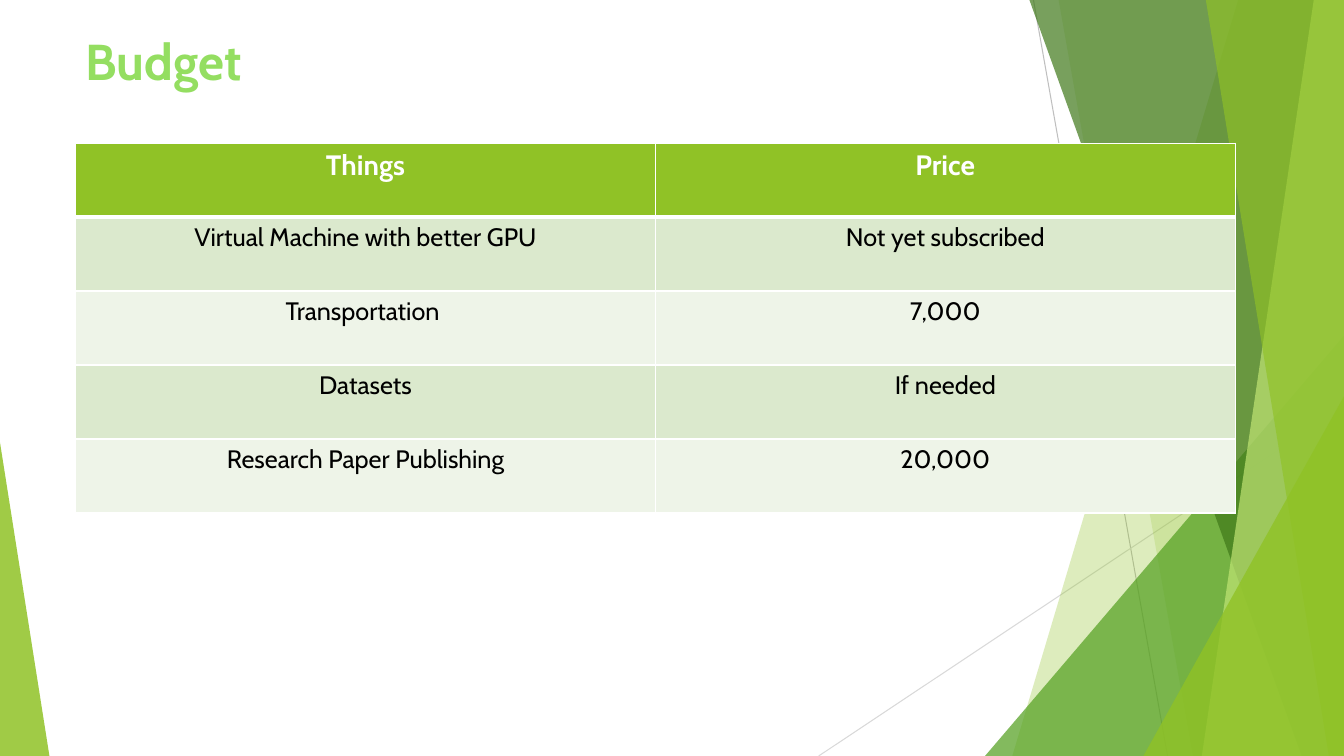
import pptx
import pptx.dml.color
import pptx.enum.shapes
import pptx.enum.text
import pptx.oxml
import pptx.oxml.ns
import pptx.util
from lxml import etree

Inches, Pt = pptx.util.Inches, pptx.util.Pt
RGB = pptx.dml.color.RGBColor
SHAPE = pptx.enum.shapes.MSO_SHAPE

TITLE = "Budget"
ROWS = [
    ("Things", "Price"),
    ("Virtual Machine with better GPU", "Not yet subscribed"),
    ("Transportation ", "7,000"),
    ("Datasets", "If needed"),
    ("Research Paper Publishing", "20,000"),
]

FONT = "Cabin"
WHITE, BLACK = RGB(255, 255, 255), RGB(0, 0, 0)
TITLE_GREEN = RGB(0x94, 0xDE, 0x61)
LIME = RGB(0x90, 0xC2, 0x26)
LEAF = RGB(0x54, 0xA0, 0x21)
FOREST = RGB(0x3F, 0x78, 0x19)
PALE_LIME = RGB(0xC0, 0xE4, 0x74)
BAND_DARK, BAND_LIGHT = RGB(0xDB, 0xE9, 0xCD), RGB(0xEE, 0xF4, 0xE8)
GREY, LIGHT_GREY = RGB(0xBF, 0xBF, 0xBF), RGB(0xD9, 0xD9, 0xD9)

W, H = 13.33, 7.5
TABLE_LEFT, TABLE_TOP, TABLE_W, TABLE_H = 0.75, 1.42, 11.5, 3.67

# Thin lines: start, end, colour
RAYS = [
    ((10.25, 0), (11.58, H), GREY),
    ((W, 4.03), (8.12, H), LIGHT_GREY),
]
# Facets from back to front.
# "band": left edge at top and at bottom, reaching the right side of the slide
# "corner": left, top, width and apex position, standing on the slide's bottom
FACETS = [
    ("band", (12.28, 10.04), LIME, 30),
    ("band", (10.5, 11.83), LIME, 20),
    ("corner", (9.77, 3.33, 3.56, 1), LEAF, 72),
    ("band", (10.21, 12.91), FOREST, 70),
    ("band", (13.03, 11.92), PALE_LIME, 70),
    ("band", (11.96, 13.18), LIME, 65),
    ("corner", (11.34, 3.93, 1.99, 1), LIME, 80),
    ("corner", (0, 4.39, 0.49, 0), LIME, 85),
]


def add_ray(shapes, start, end, color):
    ends = [Inches(v) for v in (*start, *end)]
    line = shapes.add_connector(pptx.enum.shapes.MSO_CONNECTOR.STRAIGHT, *ends)
    line.line.color.rgb = color
    line.line.width = Pt(0.75)
    etree.SubElement(line._element.spPr, pptx.oxml.ns.qn("a:effectLst"))


def add_facet(shapes, kind, geometry, color, opacity):
    if kind == "band":
        top_x, bottom_x = geometry
        points = [(Inches(x), Inches(y)) for x, y in
                  ((top_x, 0), (W, 0), (W, H), (bottom_x, H))]
        builder = shapes.build_freeform(*points[0])
        builder.add_line_segments(points[1:], close=True)
        sp = builder.convert_to_shape()
    else:
        left, top, width, apex = geometry
        sp = shapes.add_shape(SHAPE.ISOSCELES_TRIANGLE, Inches(left), Inches(top),
                              Inches(width), Inches(H - top))
        sp.adjustments[0] = apex
    sp.shadow.inherit = False
    sp.line.fill.background()
    sp.fill.solid()
    sp.fill.fore_color.rgb = color
    clr = sp._element.spPr.find(".//" + pptx.oxml.ns.qn("a:srgbClr"))
    etree.SubElement(clr, pptx.oxml.ns.qn("a:alpha"), val=str(opacity * 1000))


def set_borders(cell, widths):
    """Draw white borders; widths are points for left, right, top, bottom."""
    tc_pr = cell._tc.get_or_add_tcPr()
    for i, (side, width) in enumerate(zip("LRTB", widths)):
        tc_pr.insert(i, pptx.oxml.parse_xml(
            f'<a:ln{side} {pptx.oxml.ns.nsdecls("a")} w="{Pt(width)}">'
            f'<a:solidFill><a:srgbClr val="{WHITE}"/></a:solidFill></a:ln{side}>'))


def style(p, size, color, bold):
    p.font.name, p.font.size = FONT, Pt(size)
    p.font.color.rgb, p.font.bold = color, bold


def add_budget_table(shapes):
    frame = shapes.add_table(len(ROWS), len(ROWS[0]), Inches(TABLE_LEFT),
                             Inches(TABLE_TOP), Inches(TABLE_W), Inches(TABLE_H))
    for r, row in enumerate(ROWS):
        header = r == 0
        fill = LIME if header else BAND_DARK if r % 2 else BAND_LIGHT
        for c, text in enumerate(row):
            cell = frame.table.cell(r, c)
            cell.text = text
            cell.fill.solid()
            cell.fill.fore_color.rgb = fill
            set_borders(cell, (1, 1, 3 if r == 1 else 1, 3 if header else 1))
            p = cell.text_frame.paragraphs[0]
            p.alignment = pptx.enum.text.PP_ALIGN.CENTER
            style(p, 20 if header else 18, WHITE if header else BLACK, header)


def main():
    prs = pptx.Presentation()
    prs.slide_width, prs.slide_height = Inches(W), Inches(H)
    shapes = prs.slides.add_slide(prs.slide_layouts[6]).shapes
    for ray in RAYS:
        add_ray(shapes, *ray)
    for facet in FACETS:
        add_facet(shapes, *facet)

    tf = shapes.add_textbox(Inches(0.75), Inches(0.25),
                            Inches(9.4), Inches(1.44)).text_frame
    tf.word_wrap = True
    tf.text = TITLE
    style(tf.paragraphs[0], 36, TITLE_GREEN, True)
    add_budget_table(shapes)
    prs.save("out.pptx")


if __name__ == "__main__":
    main()
